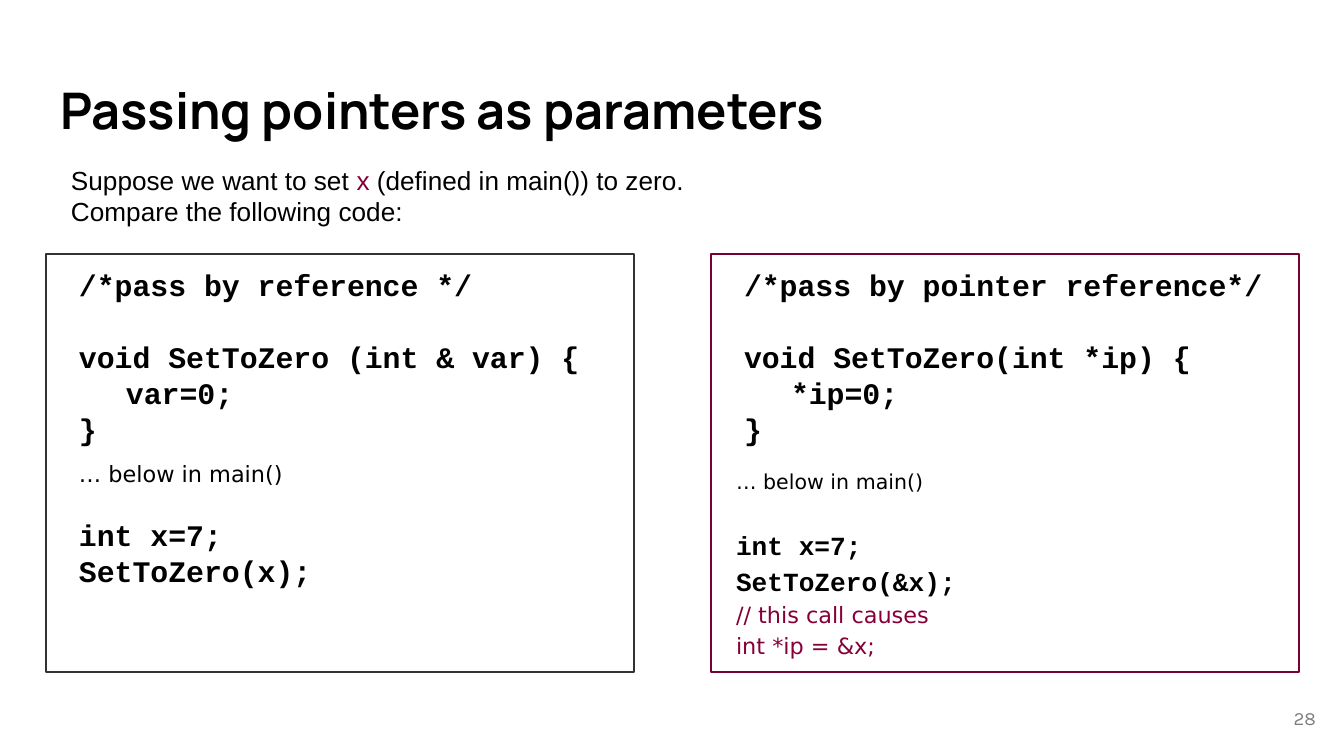
import dataclasses

import pptx
import pptx.dml.color
import pptx.enum.text
import pptx.oxml.ns
import pptx.util
from lxml import etree

ENUM = pptx.enum.text


@dataclasses.dataclass(frozen=True)
class Style:
    font: str
    size: int
    color: str
    bold: bool = False
    space: float = 1.0


class Theme:
    """Colours and type styles of the slide."""
    ink, wine, edge, rose, gray = "000000", "860038", "333333", "790032", "7F7F7F"
    title = Style("Manrope", 27, ink, True)
    body = Style("Arial", 14, ink)
    mark = dataclasses.replace(body, color=wine)
    code = Style("Courier New", 16, ink, True)
    call = Style("Courier New", 14, ink, True, 1.15)
    note = Style("DejaVu Sans", 12, ink, space=1.5)
    hint = Style("DejaVu Sans", 11, ink, space=1.5)
    tip = Style("DejaVu Sans", 12, wine, space=1.15)
    page = Style("Karla", 10, gray)


def px(n):
    """Turn picture pixels into EMU."""
    return pptx.util.Emu(round(n * 914400 / 134.4))


def rgb(color):
    """Make a colour from its hex digits."""
    return pptx.dml.color.RGBColor.from_string(color)


def place(shape, box):
    """Move a shape to its box."""
    shape.left, shape.top, shape.width, shape.height = map(px, box)


def frame(shape, anchor, pad=13, tall=13):
    """Set up the text frame of a shape."""
    text = shape.text_frame
    text.word_wrap = True
    text.auto_size = ENUM.MSO_AUTO_SIZE.NONE
    text.vertical_anchor = anchor
    text.margin_left = text.margin_right = px(pad)
    text.margin_top = text.margin_bottom = px(tall)
    return text


def write(text, runs, gap=0, left=0, hang=0, align=ENUM.PP_ALIGN.LEFT):
    """Add a paragraph made of (words, style) runs."""
    first = text.paragraphs[0]
    para = first if not first.runs else text.add_paragraph()
    para.alignment = align
    para.line_spacing = runs[0][1].space
    para.space_before = pptx.util.Pt(gap)
    para.space_after = pptx.util.Pt(0)
    props = para._p.get_or_add_pPr()
    props.set("marL", str(px(left)))
    props.set("indent", str(px(hang)))
    etree.SubElement(props, pptx.oxml.ns.qn("a:buNone"))
    for words, style in runs:
        run = para.add_run()
        run.text = words
        run.font.name = style.font
        run.font.size = pptx.util.Pt(style.size)
        run.font.bold = style.bold
        run.font.color.rgb = rgb(style.color)


def head(slide, box):
    """Fill the title."""
    place(slide.shapes.title, box)
    text = frame(slide.shapes.title, ENUM.MSO_ANCHOR.MIDDLE)
    write(text, [("Passing pointers as parameters", Theme.title)])


def intro(slide, box):
    """Add the lead-in lines."""
    text = frame(slide.shapes.add_textbox(*map(px, box)), ENUM.MSO_ANCHOR.TOP, 13, 7)
    write(text, [("Suppose we want to set ", Theme.body), ("x", Theme.mark),
                 (" (defined in main()) to zero.", Theme.body)])
    write(text, [("Compare the following code:", Theme.body)])


def panel(shape, box, edge, lines):
    """Fill a bordered code panel from (words, style, gap, left, hang) lines."""
    place(shape, box)
    shape.line.color.rgb = rgb(edge)
    shape.line.width = pptx.util.Pt(0.75)
    text = frame(shape, ENUM.MSO_ANCHOR.TOP)
    for words, style, *rest in lines:
        write(text, [(words, style)], *rest)


def number(slide, box):
    """Add the page number."""
    text = frame(slide.shapes.add_textbox(*map(px, box)), ENUM.MSO_ANCHOR.MIDDLE)
    write(text, [("28", Theme.page)], align=ENUM.PP_ALIGN.RIGHT)


def func(note, sign, step):
    """List the lines that define the function."""
    rows = [(note, 0), (sign, 19.4), ("\t" + step, 0), ("}", 0)]
    return [(words, Theme.code, gap, 67, -47) for words, gap in rows]


def main():
    """Build the deck."""
    deck = pptx.Presentation()
    deck.slide_width, deck.slide_height = px(1344), px(756)
    slide = deck.slides.add_slide(deck.slide_layouts[3])
    head(slide, (47, 64, 1252, 91))
    intro(slide, (58, 157, 1191, 77))

    by_ref = func("/*pass by reference */", "void SetToZero (int & var) {", "var=0;") + [
        ("… below in main()", Theme.note, 0, 67, -47),
        ("int x=7;", Theme.code, 16.2, 67, -47),
        ("SetToZero(x);", Theme.code, 0, 67, -47)]
    by_ptr = func("/*pass by pointer reference*/", "void SetToZero(int *ip) {", "*ip=0;") + [
        ("… below in main()", Theme.hint, 5.6, 12),
        ("int x=7;", Theme.call, 16.5, 12),
        ("SetToZero(&x);", Theme.call, 0, 12),
        ("// this call causes", Theme.tip, 0, 12),
        ("int *ip = &x;", Theme.tip, 0, 12)]
    sides = [(Theme.edge, by_ref), (Theme.rose, by_ptr)]
    for i, (edge, lines) in enumerate(sides):
        panel(slide.placeholders[i + 1], (46 + 665 * i, 254, 588, 418), edge, lines)
    number(slide, (1249, 689, 80, 58))
    deck.save("out.pptx")


main()
